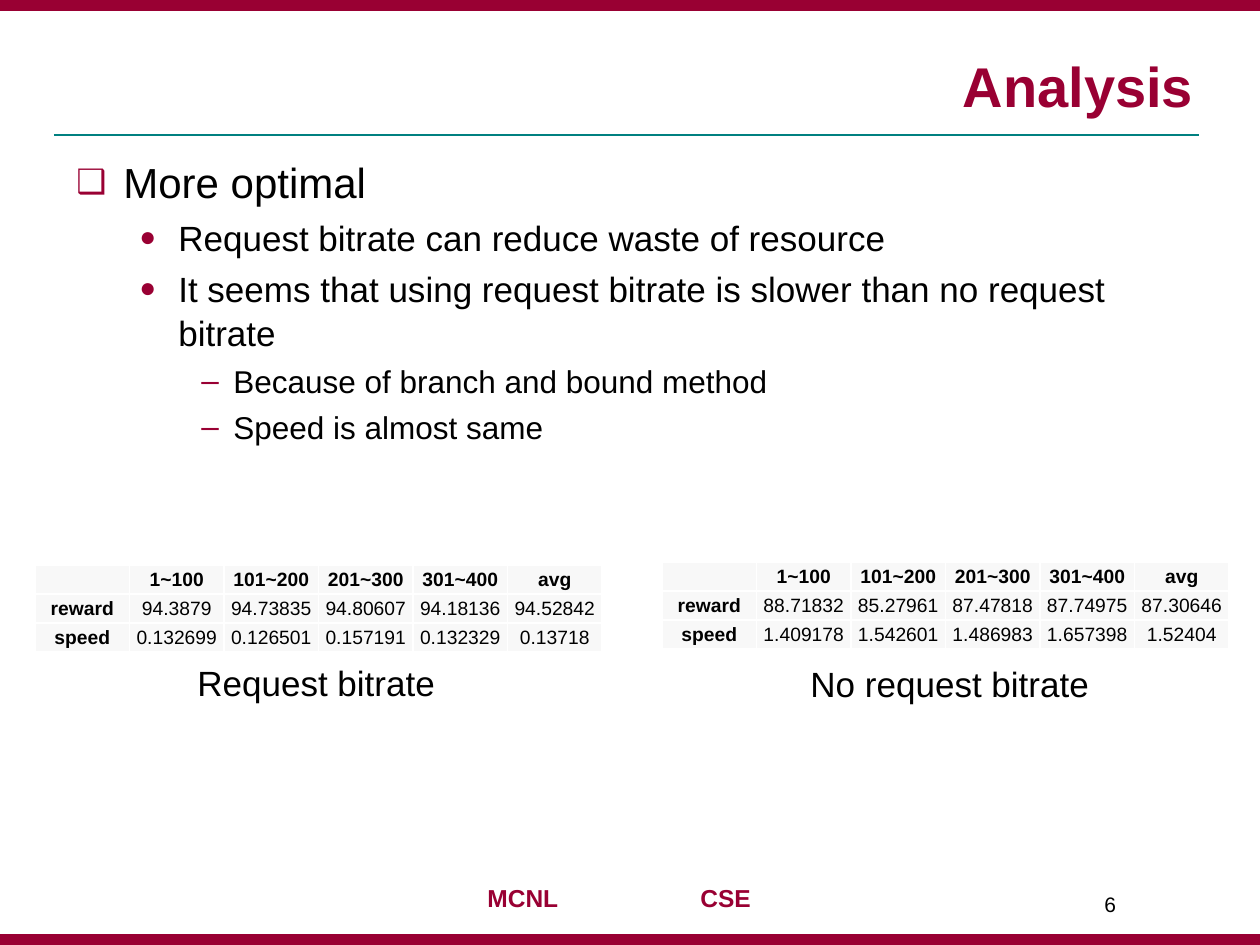
"""Build the Analysis slide comparing request and no-request bitrate."""
from lxml.etree import SubElement
from pptx import Presentation
from pptx.dml.color import RGBColor
from pptx.enum.shapes import MSO_CONNECTOR, MSO_SHAPE
from pptx.enum.text import MSO_ANCHOR, PP_ALIGN
from pptx.oxml.ns import qn
from pptx.util import Emu, Pt

EMU_PER_PX = 914400 / 126
WIDTH, HEIGHT, BAR_HEIGHT = 1260, 945, 10
FONT = "Arial"
MAROON = RGBColor(0x99, 0x00, 0x33)
TEAL = RGBColor(0x00, 0x80, 0x80)
BLACK = RGBColor(0x00, 0x00, 0x00)
WHITE = RGBColor(0xFF, 0xFF, 0xFF)
PALE = RGBColor(0xF8, 0xF8, 0xF8)

# Each level: text size, left margin, hanging indent, bullet, bullet percent
LEVELS = [
    (24, 47, 47, "❑", 80),
    (20, 102, 39, "●", 80),
    (18, 157, 32, "‒", 100),
]
POINTS = [
    (0, "More optimal"),
    (1, "Request bitrate can reduce waste of resource"),
    (1, "It seems that using request bitrate is slower than no request bitrate"),
    (2, "Because of branch and bound method"),
    (2, "Speed is almost same"),
]
HEADER = ["", "1~100", "101~200", "201~300", "301~400", "avg"]
NO_REQUEST_ROWS = [
    HEADER,
    ["reward", "88.71832", "85.27961", "87.47818", "87.74975", "87.30646"],
    ["speed", "1.409178", "1.542601", "1.486983", "1.657398", "1.52404"],
]
REQUEST_ROWS = [
    HEADER,
    ["reward", "94.3879", "94.73835", "94.80607", "94.18136", "94.52842"],
    ["speed", "0.132699", "0.126501", "0.157191", "0.132329", "0.13718"],
]


def px(length):
    return Emu(round(length * EMU_PER_PX))


def box(*lengths):
    return [px(length) for length in lengths]


def style(paragraph, size, color=BLACK, bold=False):
    font = paragraph.font
    font.name, font.size, font.bold = FONT, Pt(size), bold
    font.color.rgb = color


def add_bar(slide, top):
    bar = slide.shapes.add_shape(MSO_SHAPE.RECTANGLE, *box(0, top, WIDTH, BAR_HEIGHT))
    bar.shadow.inherit = False
    bar.fill.solid()
    bar.fill.fore_color.rgb = MAROON
    bar.line.color.rgb = MAROON
    bar.line.width = Pt(0.75)


def add_rule(slide, left, right, y):
    rule = slide.shapes.add_connector(MSO_CONNECTOR.STRAIGHT, *box(left, y, right, y))
    rule.line.color.rgb = TEAL
    rule.line.width = Pt(1)
    SubElement(rule._element.spPr, qn("a:effectLst"))


def set_title(slide, text):
    title = slide.shapes.title
    title.left, title.top, title.width, title.height = box(63, 32, 1143, 93)
    title.text_frame.text = text
    title.text_frame.vertical_anchor = MSO_ANCHOR.BOTTOM
    heading = title.text_frame.paragraphs[0]
    heading.alignment = PP_ALIGN.RIGHT
    style(heading, 32, MAROON, True)


def add_label(slide, area, text, size, color=BLACK, bold=False, wrap=False):
    frame = slide.shapes.add_textbox(*box(*area)).text_frame
    frame.word_wrap = wrap
    frame.text = text
    style(frame.paragraphs[0], size, color, bold)
    return frame.paragraphs[0]


def add_footer(slide):
    footer = add_label(slide, (475, 877, 310, 43), "MCNL\tCSE", 14, MAROON, True, True)
    properties = footer._p.get_or_add_pPr()
    tabs = SubElement(properties, qn("a:tabLst"))
    SubElement(tabs, qn("a:tab"), pos=str(px(213)), algn="l")
    properties.insert(0, tabs)


def add_bullet(paragraph, level):
    size, margin, hanging, mark, percent = LEVELS[level]
    paragraph.level = level
    paragraph.line_spacing = 1.05
    properties = paragraph._p.get_or_add_pPr()
    properties.set("marL", str(px(margin)))
    properties.set("indent", str(px(-hanging)))
    color = SubElement(properties, qn("a:buClr"))
    SubElement(color, qn("a:srgbClr"), val=str(MAROON))
    SubElement(properties, qn("a:buSzPct"), val=str(percent * 1000))
    SubElement(properties, qn("a:buFont"), typeface=FONT)
    SubElement(properties, qn("a:buChar"), char=mark)
    style(paragraph, size)


def add_points(slide):
    frame = slide.shapes.add_textbox(*box(64, 148, 1134, 710)).text_frame
    frame.word_wrap = True
    for index, (level, text) in enumerate(POINTS):
        point = frame.add_paragraph() if index else frame.paragraphs[0]
        point.text = text
        if index:
            point.space_before = Pt(LEVELS[level][0] * 0.2)
        add_bullet(point, level)


def add_borders(cell):
    properties = cell._tc.get_or_add_tcPr()
    for side in ("lnL", "lnR", "lnT", "lnB"):
        border = SubElement(properties, qn(f"a:{side}"), w=str(Pt(1)))
        fill = SubElement(border, qn("a:solidFill"))
        SubElement(fill, qn("a:srgbClr"), val=str(WHITE))


def fill_cell(cell, text, bold):
    cell.margin_left = cell.margin_right = cell.margin_top = px(1)
    cell.margin_bottom = 0
    cell.vertical_anchor = MSO_ANCHOR.MIDDLE
    add_borders(cell)
    cell.fill.solid()
    cell.fill.fore_color.rgb = PALE
    cell.text = text
    paragraph = cell.text_frame.paragraphs[0]
    paragraph.alignment = PP_ALIGN.CENTER
    style(paragraph, 11, BLACK, bold)
    if not text:
        SubElement(paragraph._p, qn("a:endParaRPr"), sz="1100")


def add_results(slide, left, top, rows):
    area = box(left, top, 567, 29 * len(rows))
    table = slide.shapes.add_table(len(rows), len(HEADER), *area).table
    table.first_row = table.horz_banding = False
    for row_index, row in enumerate(rows):
        for column_index, text in enumerate(row):
            bold = row_index == 0 or column_index == 0
            fill_cell(table.cell(row_index, column_index), text, bold)


def main():
    deck = Presentation()
    deck.slide_width, deck.slide_height = box(WIDTH, HEIGHT)
    slide = deck.slides.add_slide(deck.slide_layouts[5])
    add_rule(slide, 54, 1199, 135)
    for top in (HEIGHT - BAR_HEIGHT, 0):
        add_bar(slide, top)
    add_footer(slide)
    set_title(slide, "Analysis")
    add_label(slide, (1092, 885, 105, 50), "6", 12, wrap=True)
    add_points(slide)
    add_results(slide, 662, 562, NO_REQUEST_ROWS)
    add_results(slide, 35, 565, REQUEST_ROWS)
    add_label(slide, (185, 655, 265, 55), "Request bitrate", 20)
    add_label(slide, (798, 656, 306, 55), "No request bitrate", 20)
    deck.save("out.pptx")


if __name__ == "__main__":
    main()
